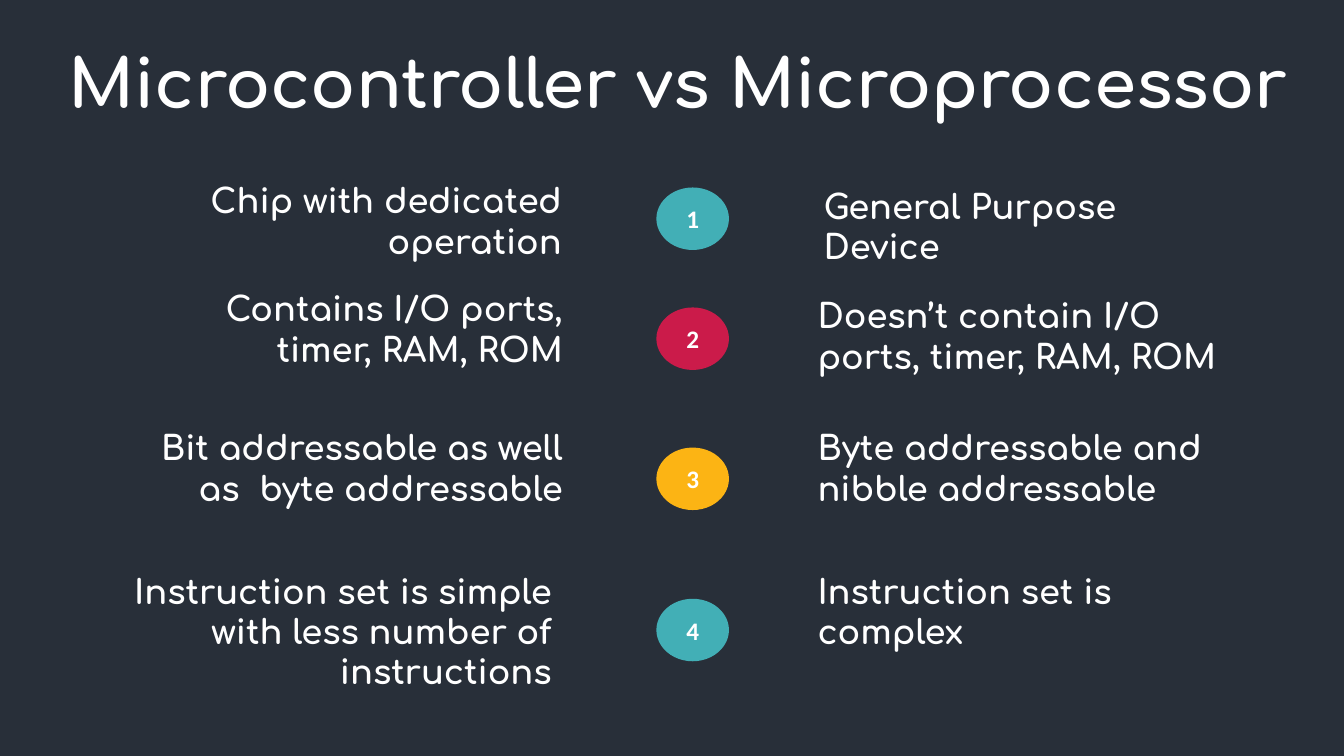
from pptx import Presentation
from pptx.dml.color import RGBColor
from pptx.enum.shapes import MSO_SHAPE
from pptx.enum.text import MSO_ANCHOR, PP_ALIGN
from pptx.util import Inches, Pt

OVAL = MSO_SHAPE.OVAL
MIDDLE = MSO_ANCHOR.MIDDLE
LEFT, CENTER, RIGHT = PP_ALIGN.LEFT, PP_ALIGN.CENTER, PP_ALIGN.RIGHT

BACKGROUND, WHITE = "282F39", "FFFFFF"
TEAL, CRIMSON, AMBER = "42AFB6", "CB1B4A", "FCB414"
TEXT_FONT, NUMBER_FONT = "Comfortaa", "Calibri"

BADGE_LEFT, BADGE_WIDTH, BADGE_HEIGHT = 6.51, 0.72, 0.62
LEFT_WIDTH, RIGHT_WIDTH = 4.35, 4.25

# Each row: badge top, badge colour, then (left, top, height, text) per side
ROWS = [
    (1.86, TEAL,
     (1.32, 1.74, 0.86, "Chip with dedicated operation"),
     (8.07, 1.79, 0.55, "General Purpose Device")),
    (3.05, CRIMSON,
     (1.33, 2.81, 0.86, "Contains I/O ports, timer, RAM, ROM"),
     (8.01, 2.88, 0.86, "Doesn’t contain I/O ports, timer, RAM, ROM")),
    (4.44, AMBER,
     (1.33, 4.19, 0.86, "Bit addressable as well as  byte addressable"),
     (8.01, 4.19, 0.86, "Byte addressable and nibble addressable")),
    (5.94, TEAL,
     (1.22, 5.61, 0.55,
      "Instruction set is simple with less number of instructions"),
     (8.01, 5.61, 0.55, "Instruction set is complex")),
]


def color(hex_string):
    return RGBColor.from_string(hex_string)


def write_text(shape, text, size, font_name, alignment):
    """Fill a shape with one bold white paragraph."""
    shape.text_frame.word_wrap = True
    paragraph = shape.text_frame.paragraphs[0]
    paragraph.text = text
    paragraph.alignment = alignment
    font = paragraph.font
    font.name, font.size, font.bold = font_name, Pt(size), True
    font.color.rgb = color(WHITE)


def add_text(slide, box, text, size, alignment):
    text_box = slide.shapes.add_textbox(*map(Inches, box))
    write_text(text_box, text, size, TEXT_FONT, alignment)


def add_badge(slide, box, number, fill):
    badge = slide.shapes.add_shape(OVAL, *map(Inches, box))
    badge.shadow.inherit = False
    badge.fill.solid()
    badge.fill.fore_color.rgb = color(fill)
    badge.line.fill.background()
    badge.text_frame.vertical_anchor = MIDDLE
    write_text(badge, str(number), 18, NUMBER_FONT, CENTER)


def add_comparison_row(slide, number, row):
    """Place a numbered badge between its two statements."""
    badge_top, fill, controller, processor = row
    add_badge(slide, (BADGE_LEFT, badge_top, BADGE_WIDTH, BADGE_HEIGHT),
              number, fill)
    for side, width, alignment in ((controller, LEFT_WIDTH, RIGHT),
                                   (processor, RIGHT_WIDTH, LEFT)):
        left, top, height, text = side
        add_text(slide, (left, top, width, height), text, 24, alignment)


def main():
    presentation = Presentation()
    presentation.slide_width = Inches(13.33)
    presentation.slide_height = Inches(7.5)
    slide = presentation.slides.add_slide(presentation.slide_layouts[6])
    slide.background.fill.solid()
    slide.background.fill.fore_color.rgb = color(BACKGROUND)

    # Title
    add_text(slide, (0.4, 0.36, 12.65, 1.11),
             "Microcontroller vs Microprocessor", 48, CENTER)

    # Comparison
    for number, row in enumerate(ROWS, start=1):
        add_comparison_row(slide, number, row)

    presentation.save("out.pptx")


if __name__ == "__main__":
    main()
